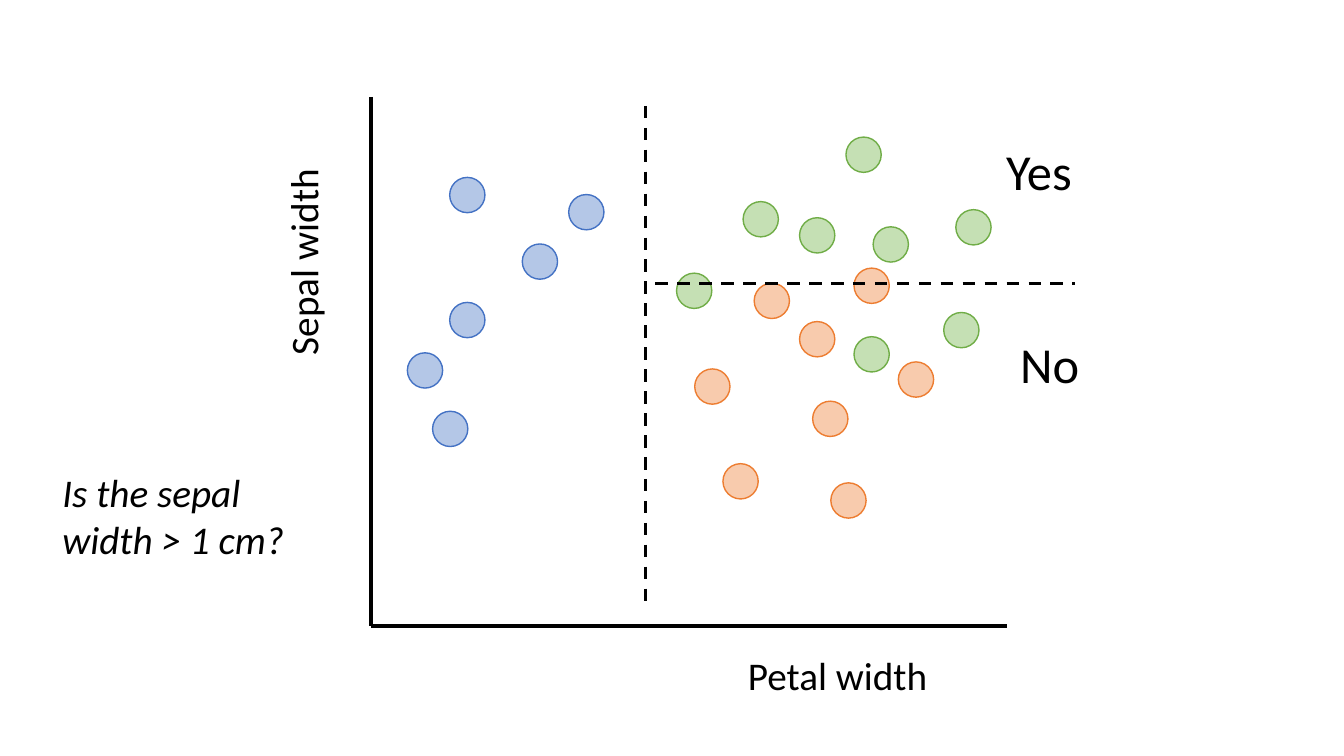
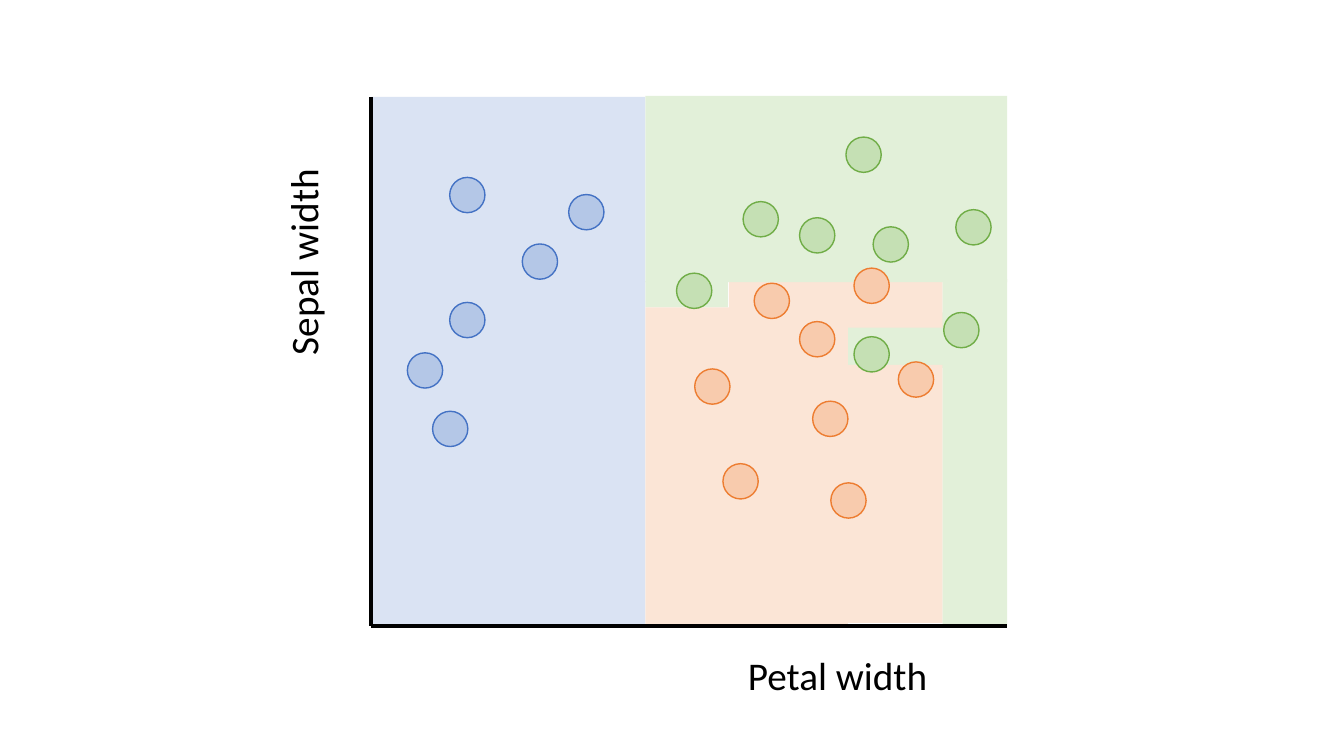
from lxml import etree
from pptx import Presentation
from pptx.dml.color import RGBColor
from pptx.enum.dml import MSO_LINE
from pptx.enum.shapes import MSO_CONNECTOR, MSO_SHAPE
from pptx.oxml.ns import qn
from pptx.util import Inches, Pt

BLACK = RGBColor(0x00, 0x00, 0x00)
BLUE = RGBColor(0x44, 0x72, 0xC4)
BLUE_LIGHT = RGBColor(0xB4, 0xC7, 0xE7)
BLUE_PALE = RGBColor(0xDA, 0xE3, 0xF3)
ORANGE = RGBColor(0xED, 0x7D, 0x31)
ORANGE_LIGHT = RGBColor(0xF8, 0xCB, 0xAD)
ORANGE_PALE = RGBColor(0xFB, 0xE5, 0xD6)
GREEN = RGBColor(0x70, 0xAD, 0x47)
GREEN_LIGHT = RGBColor(0xC5, 0xE0, 0xB4)
GREEN_PALE = RGBColor(0xE2, 0xF0, 0xD9)

FONT = "Calibri"
DOT = 0.35
LEFT, TOP, RIGHT, BOTTOM = 3.68, 0.96, 9.99, 6.21
SPLIT_X = 6.4
SPLIT_Y = 2.81

# (fill, outline, top-left corners of the dots)
CLASSES = [
    (BLUE_LIGHT, BLUE, [
        (4.29, 4.08), (4.46, 3), (4.04, 3.5),
        (5.18, 2.42), (4.46, 1.76), (5.64, 1.93)]),
    (ORANGE_LIGHT, ORANGE, [
        (7.17, 4.6), (6.89, 3.66), (8.06, 3.98), (8.24, 4.79),
        (7.93, 3.19), (8.91, 3.59), (8.47, 2.66), (7.48, 2.81)]),
    (GREEN_LIGHT, GREEN, [
        (7.93, 2.16), (8.66, 2.25), (8.47, 3.34), (7.37, 2),
        (9.36, 3.1), (8.39, 1.36), (9.48, 2.08), (6.71, 2.71)]),
]

# Decision regions, back to front: (fill, left, top, width, height)
REGIONS = [
    (GREEN_PALE, 8.4, 3.1, 0.98, 0.55),
    (GREEN_PALE, SPLIT_X, 2.79, 0.82, 0.26),
    (ORANGE_PALE, 7.23, 2.79, 2.12, 0.46),
    (ORANGE_PALE, 8.34, 3.62, 1.01, 2.56),
    (GREEN_PALE, 9.35, 2.77, 0.64, 3.45),
    (GREEN_PALE, SPLIT_X, 0.95, 3.59, 1.85),
    (ORANGE_PALE, SPLIT_X, 3.05, 2.01, 3.18),
    (BLUE_PALE, LEFT, TOP, SPLIT_X - LEFT, BOTTOM - TOP),
]

# (text, left, top, width, height, rotation)
AXIS_LABELS = [
    ("Petal width", 7.32, 6.41, 2.57, 0.74, 0),
    ("Sepal width", 1.76, 1.92, 2.66, 0.74, 270),
]
AXES = [(LEFT, TOP, LEFT, BOTTOM), (LEFT, BOTTOM, RIGHT, BOTTOM)]
SPLITS = [(SPLIT_X, 1.05, SPLIT_X, 6.01), (6.5, SPLIT_Y, 10.66, SPLIT_Y)]


def add_line(shapes, ends, width, dash=None):
    line = shapes.add_connector(MSO_CONNECTOR.STRAIGHT, *map(Inches, ends))
    line.line.color.rgb = BLACK
    line.line.width = Pt(width)
    if dash:
        line.line.dash_style = dash
    etree.SubElement(line._element.spPr, qn("a:effectLst"))


def add_text(shapes, text, box, size=28, wrap=True, rotation=0, **font):
    tb = shapes.add_textbox(*map(Inches, box))
    tb.rotation = rotation
    tf = tb.text_frame
    tf.word_wrap = wrap
    r = tf.paragraphs[0].add_run()
    r.text = text
    r.font.color.rgb = BLACK
    for name, value in {"name": FONT, "size": Pt(size), **font}.items():
        setattr(r.font, name, value)


prs = Presentation()
prs.slide_width, prs.slide_height = Inches(13.33), Inches(7.5)
blank = prs.slide_layouts[6]
split_slide, region_slide = [prs.slides.add_slide(blank) for _ in range(2)]

for fill, *box in REGIONS:
    sp = region_slide.shapes.add_shape(MSO_SHAPE.RECTANGLE, *map(Inches, box))
    sp.shadow.inherit = False
    sp.fill.solid()
    sp.fill.fore_color.rgb = fill
    sp.line.fill.background()

# The scatter plot is the same on both slides
for s in (split_slide, region_slide):
    plot = s.shapes.add_group_shape().shapes
    for ends in AXES:
        add_line(plot, ends, 3)
    for text, *box, rotation in AXIS_LABELS:
        add_text(plot, text, box, rotation=rotation)
    for fill, outline, dots in CLASSES:
        for x, y in dots:
            sp = plot.add_shape(MSO_SHAPE.OVAL, Inches(x), Inches(y),
                                Inches(DOT), Inches(DOT))
            sp.shadow.inherit = False
            sp.fill.solid()
            sp.fill.fore_color.rgb = fill
            sp.line.color.rgb = outline
            sp.line.width = Pt(1)

add_text(split_slide.shapes, "Is the sepal width > 1 cm?",
         (0.52, 4.6, 2.56, 1.04), italic=True)
add_text(split_slide.shapes, "Yes", (9.88, 1.34, 0.85, 0.71), 36, wrap=False)
add_text(split_slide.shapes, "No", (10.02, 3.26, 0.79, 0.71), 36, wrap=False)
for ends in SPLITS:
    add_line(split_slide.shapes, ends, 2.25, MSO_LINE.DASH)

prs.save("out.pptx")
